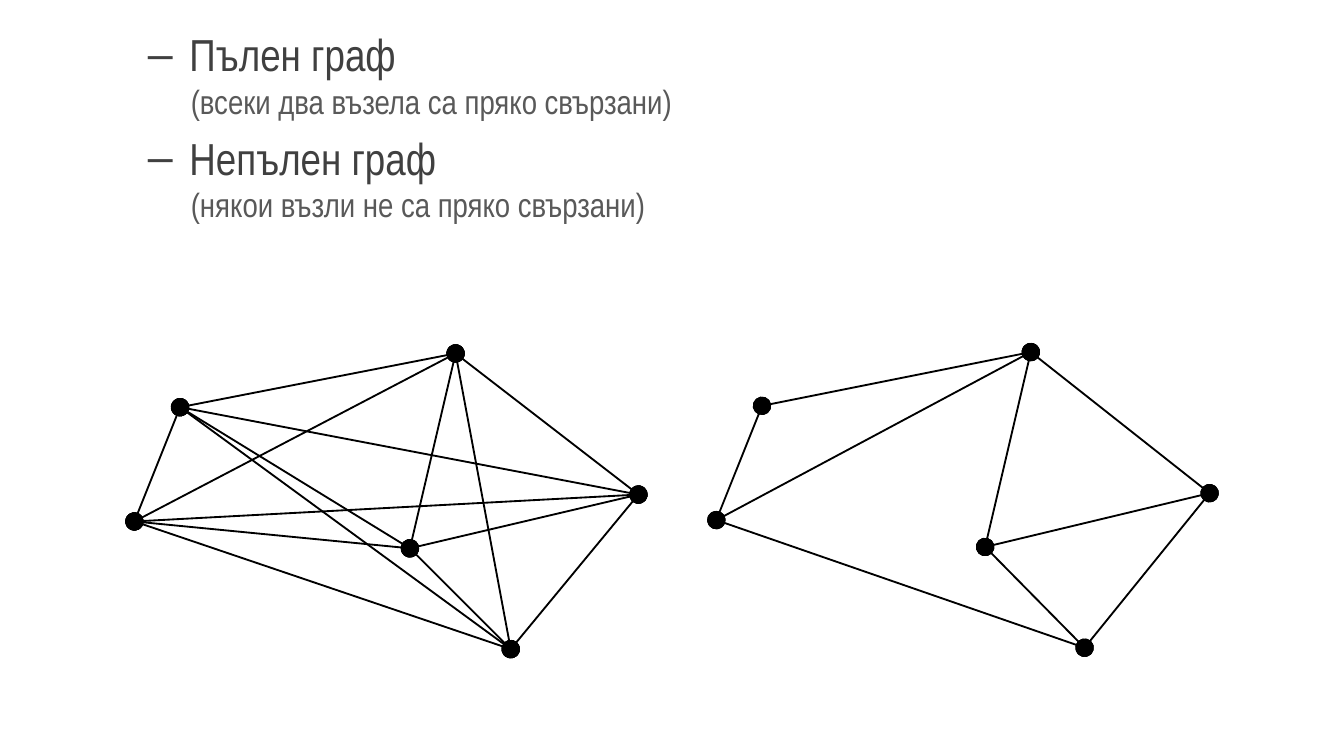
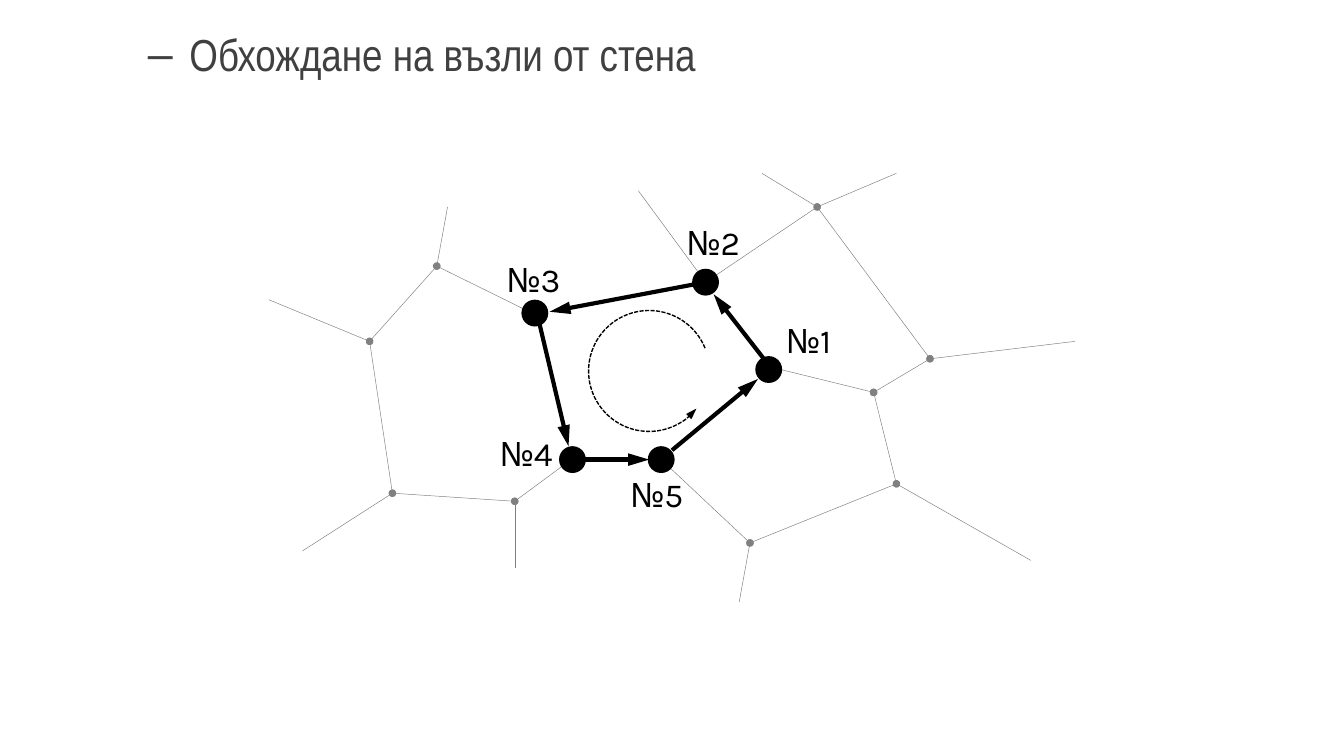
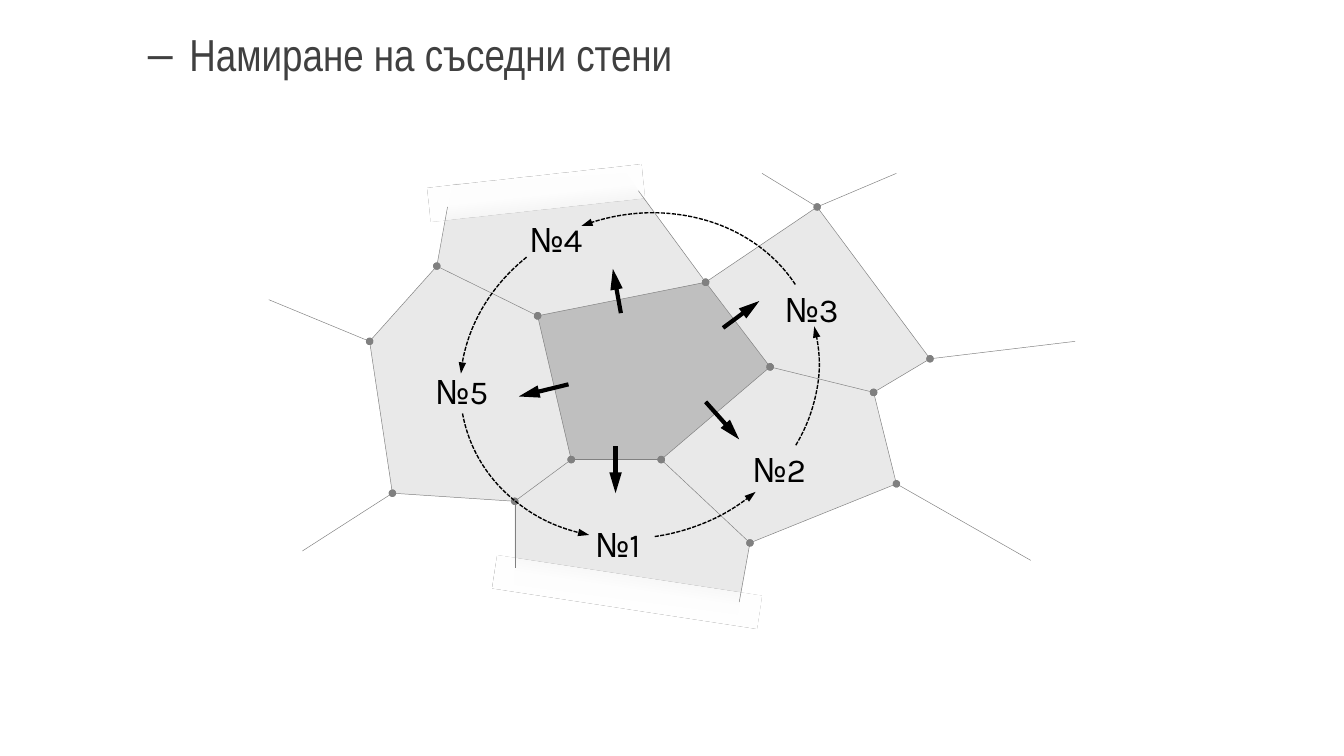
from dataclasses import dataclass
from itertools import combinations

from lxml import etree
from pptx import Presentation
from pptx.dml.color import RGBColor
from pptx.enum.dml import MSO_LINE
from pptx.enum.shapes import MSO_CONNECTOR, MSO_SHAPE
from pptx.enum.text import MSO_AUTO_SIZE
from pptx.oxml import parse_xml
from pptx.oxml.ns import nsdecls, qn
from pptx.util import Inches, Pt

STRAIGHT = MSO_CONNECTOR.STRAIGHT
OVAL, ARC, RECT = MSO_SHAPE.OVAL, MSO_SHAPE.ARC, MSO_SHAPE.RECTANGLE
DASH = MSO_LINE.SQUARE_DOT
NO_FIT, GROW = MSO_AUTO_SIZE.NONE, MSO_AUTO_SIZE.SHAPE_TO_FIT_TEXT


@dataclass(frozen=True)
class Theme:
    black: str = "000000"
    white: str = "FFFFFF"
    head: str = "404040"
    note: str = "595959"
    edge: str = "808080"
    core: str = "BFBFBF"
    face: str = "D9D9D9"
    font: str = "Arial Narrow"
    tag_font: str = "Karla"
    big: int = 24
    small: int = 18
    thin: float = 0.25
    dash: float = 0.75
    plain: float = 1
    bold: float = 2.25


T = Theme()

# Line ends: kind, width, length
BIG_DOT = ("oval", "lg", "lg")
DOT = ("oval", "sm", "sm")
ARROW = ("triangle", "med", "lg")
TIP = ("triangle", "sm", "med")

# Complete and incomplete graph
FULL = [(1, 3.88), (1.34, 3.03), (3.39, 2.63), (4.75, 3.68), (3.8, 4.83), (3.05, 4.08)]
PART = [(5.33, 3.87), (5.67, 3.02), (7.67, 2.62), (9, 3.67), (8.07, 4.82), (7.33, 4.07)]
PART_LINKS = [(0, 2), (0, 1), (0, 4), (1, 2), (2, 5), (2, 3), (3, 4), (3, 5), (5, 4)]

# Mesh: a to e bound the central face, f to n lie around it
NODES = {
    "a": (5.25, 2.1), "b": (5.73, 2.73), "c": (4.92, 3.42), "d": (4.25, 3.42),
    "e": (4, 2.35), "f": (6.08, 1.54), "g": (6.92, 2.67), "h": (6.5, 2.92),
    "i": (6.67, 3.6), "j": (5.58, 4.04), "k": (3.83, 3.73), "l": (2.92, 3.67),
    "m": (2.75, 2.54), "n": (3.25, 1.98),
}
LINKS = "hg dk ne af hi cj lk ij fg mn ml bh".split()
RING = "ab bc cd de ea".split()
STUBS = [("a", (4.75, 1.42)), ("i", (7.67, 4.17)), ("j", (5.5, 4.48)),
         ("k", (3.83, 4.23)), ("g", (8, 2.54)), ("f", (6.67, 1.29)),
         ("f", (5.67, 1.29)), ("n", (3.33, 1.54)), ("m", (2, 2.23)),
         ("l", (2.25, 4.1))]

# Walk around the central face
DOTS = [(4.92, 3.42), (5.25, 2.1), (3.98, 2.33), (4.26, 3.42), (5.72, 2.75)]
WALK = [((4.25, 3.42), (4.83, 3.42)), ((4, 2.35), (4.23, 3.32)),
        ((5.25, 2.1), (4.09, 2.32)), ((5.73, 2.73), (5.31, 2.19)),
        ((5, 3.35), (5.64, 2.82))]
WALK_TAGS = [(5.75, 2.33), (5.01, 1.6), (3.67, 1.88), (3.62, 3.17), (4.59, 3.48)]

# Steps from the central face to its neighbours
STEPS = [((4.58, 3.32), (4.58, 3.67)), ((5.25, 2.99), (5.5, 3.27)),
         ((5.38, 2.44), (5.65, 2.24)), ((4.62, 2.33), (4.56, 2)),
         ((4.23, 2.86), (3.86, 2.95))]
STEP_TAGS = [(4.33, 3.85), (5.5, 3.29), (5.74, 2.1), (3.84, 1.58), (3.14, 2.71)]
TURNS = [(68.97, 96.36), (104, 140.23), (153.99, 177.73), (190.37, 214.22), (6.99, 55.52)]


def color(code):
    return RGBColor.from_string(code)


def place(*lengths):
    return [Inches(x) for x in lengths]


def style(line, code, width):
    line.color.rgb = color(code)
    line.width = Pt(width)


def cap(shape, side, end):
    kind, width, length = end
    ln = shape.line._get_or_add_ln()
    etree.SubElement(ln, qn(f"a:{side}End"), type=kind, w=width, len=length)


def link(shapes, start, stop, code, width, head=None, tail=None):
    line = shapes.add_connector(STRAIGHT, *place(*start, *stop))
    style(line.line, code, width)
    for side, end in (("head", head), ("tail", tail)):
        if end:
            cap(line, side, end)
    etree.SubElement(line._element.spPr, qn("a:effectLst"))


def solid(shape, code):
    shape.shadow.inherit = False
    shape.fill.solid()
    shape.fill.fore_color.rgb = color(code)
    shape.line.fill.background()


def dot(shapes, x, y, size=0.2):
    solid(shapes.add_shape(OVAL, *place(x - size / 2, y - size / 2, size, size)), T.black)


def arc(shapes, box, turn, span):
    shape = shapes.add_shape(ARC, *place(*box))
    shape.shadow.inherit = False
    shape.fill.background()
    shape.rotation = turn
    shape._element.spPr.find(qn("a:xfrm")).set("flipH", "1")
    shape.adjustments[0], shape.adjustments[1] = span
    style(shape.line, T.black, T.dash)
    shape.line.dash_style = DASH
    cap(shape, "tail", TIP)


def area(shapes, points, code, alpha=None):
    first, *rest = [place(*point) for point in points]
    pen = shapes.build_freeform(*first)
    pen.add_line_segments(rest, close=True)
    shape = pen.convert_to_shape()
    solid(shape, code)
    if alpha:
        tint = shape._element.spPr.find(qn("a:solidFill"))[0]
        etree.SubElement(tint, qn("a:alpha"), val=str(alpha * 1000))


def fade(shapes, box, turn):
    shape = shapes.add_shape(RECT, *place(*box))
    shape.rotation = turn
    solid(shape, T.white)
    old = shape._element.spPr.find(qn("a:solidFill"))
    blend = parse_xml(
        f'<a:gradFill {nsdecls("a")} rotWithShape="1"><a:gsLst>'
        f'<a:gs pos="51000"><a:srgbClr val="{T.white}"/></a:gs>'
        f'<a:gs pos="100000"><a:srgbClr val="{T.white}"><a:alpha val="0"/></a:srgbClr></a:gs>'
        '</a:gsLst><a:lin ang="5400000" scaled="0"/></a:gradFill>')
    old.getparent().replace(old, blend)


def tags(shapes, spots):
    for num, spot in enumerate(spots, 1):
        box = shapes.add_textbox(*place(*spot, 0.67, 0.4))
        frame = box.text_frame
        frame.word_wrap = True
        frame.auto_size = GROW
        para = frame.paragraphs[0]
        para.text = f"№{num}"
        para.font.name = T.tag_font
        para.font.size = Pt(T.small)
        para.font.color.rgb = color(T.black)


def item(para, text, level, first):
    para.text = text
    para.level = level
    top = level == 1
    props = para._p.get_or_add_pPr()
    props.set("marL", str(Inches(0.81 if top else 1.13)))
    props.set("indent", str(Inches(-0.31)))
    para.space_before = Pt(5 if top and not first else 0)
    if top:
        etree.SubElement(props, qn("a:buChar"), char="–")
    else:
        etree.SubElement(props, qn("a:buNone"))
    para.font.name = T.font
    para.font.size = Pt(T.big if top else T.small)
    para.font.color.rgb = color(T.head if top else T.note)


def page(deck, items):
    """Add a slide with a list of (text, level) and return its shapes."""
    shapes = deck.slides.add_slide(deck.slide_layouts[1]).shapes
    title = shapes.title._element
    title.getparent().remove(title)
    body = shapes[0]
    body.left, body.top, body.width, body.height = place(0.5, 0.15, 9.5, 5.17)
    frame = body.text_frame
    frame.auto_size = NO_FIT
    for num, (text, level) in enumerate(items):
        para = frame.add_paragraph() if num else frame.paragraphs[0]
        item(para, text, level, num == 0)
    return shapes


def graph(shapes, points, pairs):
    group = shapes.add_group_shape()
    for one, two in pairs:
        link(group.shapes, points[one], points[two], T.black, T.plain, BIG_DOT, BIG_DOT)


def mesh(shapes, pairs):
    for name, stop in STUBS:
        link(shapes, NODES[name], stop, T.edge, T.thin)
    for one, two in pairs:
        link(shapes, NODES[one], NODES[two], T.edge, T.thin, DOT, DOT)


def arrows(shapes, spans):
    for start, stop in spans:
        link(shapes, start, stop, T.black, T.bold, tail=ARROW)


def kinds(deck):
    shapes = page(deck, [
        ("Пълен граф", 1), ("(всеки два възела са пряко свързани)", 2),
        ("Непълен граф", 1), ("(някои възли не са пряко свързани)", 2)])
    graph(shapes, FULL, combinations(range(len(FULL)), 2))
    graph(shapes, PART, PART_LINKS)


def walk(deck):
    shapes = page(deck, [("Обхождане на възли от стена", 1)])
    mesh(shapes, LINKS)
    arrows(shapes, WALK)
    for spot in DOTS:
        dot(shapes, *spot)
    arc(shapes, (4.38, 2.31, 0.9, 0.9), 180, (13.29, 192.94))
    tags(shapes, WALK_TAGS)


def near(deck):
    shapes = page(deck, [("Намиране на съседни стени", 1)])
    # Shaded faces, fading out where they are cut off
    rim = [NODES[name] for name in "nmlk"] + [(3.83, 4.35), (5.49, 4.57)]
    rim += [NODES[name] for name in "jihgfa"] + [(4.66, 1.29), (3.37, 1.37)]
    area(shapes, rim, T.face, 57)
    area(shapes, [NODES[name] for name in "abcde"], T.core)
    fade(shapes, (3.19, 1.31, 1.6, 0.25), 353.8)
    fade(shapes, (3.67, 4.28, 1.99, 0.25), 188.7)
    # Mesh, labels and arrows
    mesh(shapes, LINKS + RING)
    tags(shapes, STEP_TAGS)
    for span in TURNS:
        arc(shapes, (3.41, 1.6, 2.7, 2.39), 161.3, span)
    arrows(shapes, STEPS)


def main():
    deck = Presentation()
    # Widescreen, 16:9
    deck.slide_width = Inches(10)
    deck.slide_height = deck.slide_width * 9 // 16
    kinds(deck)
    walk(deck)
    near(deck)
    deck.save("out.pptx")


if __name__ == "__main__":
    main()
